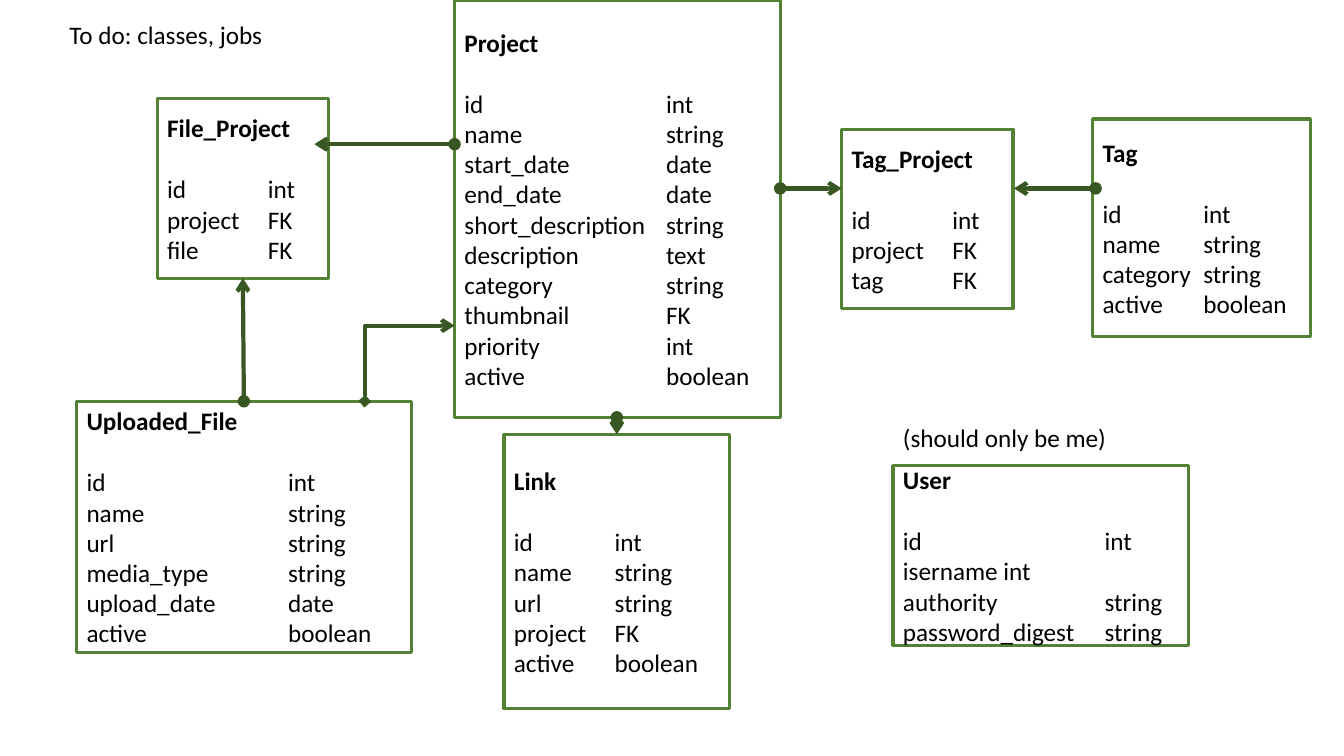
from lxml.etree import SubElement
from pptx import Presentation
from pptx.dml.color import RGBColor
from pptx.enum.shapes import MSO_CONNECTOR, MSO_SHAPE
from pptx.enum.text import MSO_ANCHOR, PP_ALIGN
from pptx.oxml.ns import qn
from pptx.util import Pt

WHITE = RGBColor(0xFF, 0xFF, 0xFF)
BLACK = RGBColor(0x00, 0x00, 0x00)
GREEN = RGBColor(0x54, 0x82, 0x35)
DARK_GREEN = RGBColor(0x38, 0x57, 0x23)

ENTITIES = [
    ("Project", (324.7, 0, 232.6, 298.1), 144,
     ["id:int", "name:string", "start_date:date", "end_date:date",
      "short_description:string", "description:text", "category:string",
      "thumbnail:FK", "priority:int", "active:boolean"]),
    ("Tag", (780.5, 85, 155.5, 155.5), 72,
     ["id:int", "name:string", "category:string", "active:boolean"]),
    ("Tag_Project", (601.2, 92.2, 122.4, 128.2), 72,
     ["id:int", "project:FK", "tag:FK"]),
    ("Uploaded_File", (54.7, 286.6, 239, 179.3), 144,
     ["id:int", "name:string", "url:string", "media_type:string",
      "upload_date:date", "active:boolean"]),
    ("File_Project", (112.3, 70.6, 122.4, 128.2), 72,
     ["id:int", "project:FK", "file:FK"]),
    ("Link", (360, 310.3, 161.3, 195.8), 72,
     ["id:int", "name:string", "url:string", "project:FK", "active:boolean"]),
    ("User", (637.9, 332.6, 211, 128.2), 144,
     ["id:int", "isername int", "authority:string", "password_digest:string"]),
]

RELATIONS = [
    (174.2, 286.6, 173.5, 198.7),
    (324.7, 103, 224.6, 103),
    (557.3, 134.6, 601.2, 134.6),
    (782.6, 134.6, 724.3, 134.6),
    (440.6, 298.1, 440.6, 310.3),
]


class Diagram:
    font = "Calibri"
    size = 18
    line_height = 22

    def __init__(self, slide):
        self.slide = slide

    def style(self, p, bold=False):
        p.alignment = PP_ALIGN.LEFT
        for r in p.runs:
            r.font.name = self.font
            r.font.size = Pt(self.size)
            r.font.bold = bold
            r.font.color.rgb = BLACK

    def entity(self, name, box, column, fields):
        sp = self.slide.shapes.add_shape(MSO_SHAPE.RECTANGLE, *map(Pt, box))
        sp.shadow.inherit = False
        sp.fill.solid()
        sp.fill.fore_color.rgb = WHITE
        sp.line.color.rgb = GREEN
        sp.line.width = Pt(2.25)
        tf = sp.text_frame
        tf.word_wrap = True
        tf.vertical_anchor = MSO_ANCHOR.MIDDLE
        p = tf.paragraphs[0]
        p.text = name
        p.space_after = Pt(self.line_height)
        self.style(p, bold=True)
        for field in fields:
            p = tf.add_paragraph()
            p.text = field.replace(":", "\t")
            self.style(p)
            tabs = SubElement(p._p.get_or_add_pPr(), qn("a:tabLst"))
            SubElement(tabs, qn("a:tab"), pos=str(Pt(column)), algn="l")

    def note(self, text, box):
        tf = self.slide.shapes.add_textbox(*map(Pt, box)).text_frame
        tf.word_wrap = True
        tf.text = text
        self.style(tf.paragraphs[0])

    def relation(self, ends, kind=MSO_CONNECTOR.STRAIGHT, head="oval"):
        c = self.slide.shapes.add_connector(kind, *map(Pt, ends))
        c.line.color.rgb = DARK_GREEN
        c.line.width = Pt(3)
        ln = c.line._get_or_add_ln()
        SubElement(ln, qn("a:headEnd"), type=head)
        SubElement(ln, qn("a:tailEnd"), type="arrow")
        SubElement(c._element.spPr, qn("a:effectLst"))
        return c

    def bent_relation(self, ends, bend):
        c = self.relation(ends, MSO_CONNECTOR.ELBOW, "diamond")
        guides = c._element.spPr.find(qn("a:prstGeom")).get_or_add_avLst()
        SubElement(guides, qn("a:gd"), name="adj1", fmla=f"val {bend}")


def main():
    prs = Presentation()
    prs.slide_width, prs.slide_height = Pt(960), Pt(540)
    s = prs.slides.add_slide(prs.slide_layouts[6])
    diagram = Diagram(s)
    for entity in ENTITIES:
        diagram.entity(*entity)
    for ends in RELATIONS:
        diagram.relation(ends)
    diagram.bent_relation((260.6, 286.6, 324.7, 232.6), 500)
    diagram.note("To do: classes, jobs", (42.5, 10.1, 182.2, 29))
    diagram.note("(should only be me)", (637.9, 298.1, 211, 29))
    prs.save("out.pptx")


if __name__ == "__main__":
    main()
